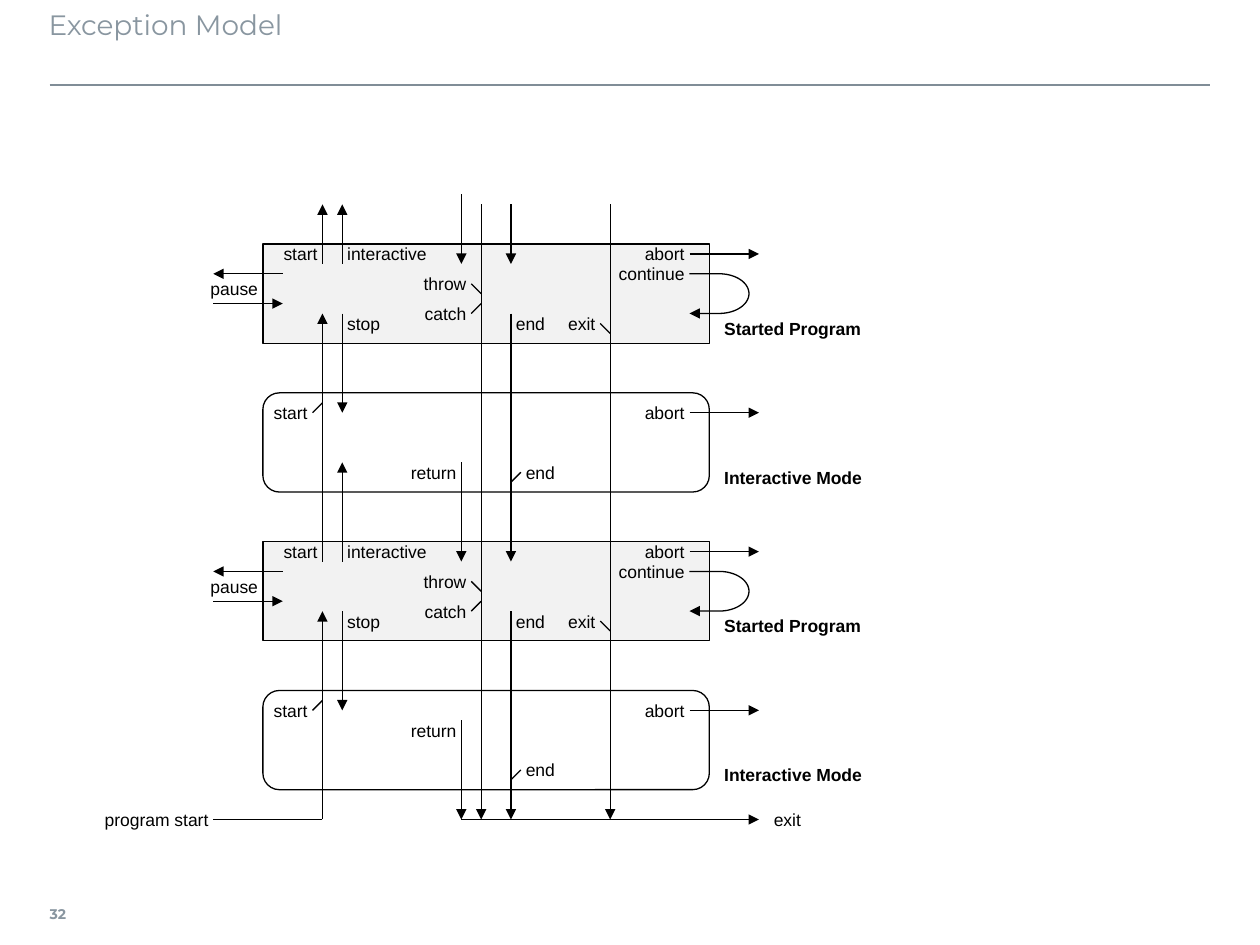
import math

from lxml import etree
from pptx import Presentation
from pptx.dml.color import RGBColor
from pptx.enum.shapes import MSO_CONNECTOR, MSO_SHAPE
from pptx.enum.text import MSO_ANCHOR, PP_ALIGN
from pptx.oxml.ns import qn
from pptx.util import Emu, Inches, Pt

EMU_PER_PX = 7200  # 0.2 mm, so the drawing grid of 2 mm is 10 px
STRAIGHT = MSO_CONNECTOR.STRAIGHT
RECTANGLE, ROUNDED = MSO_SHAPE.RECTANGLE, MSO_SHAPE.ROUNDED_RECTANGLE
LEFT, RIGHT = PP_ALIGN.LEFT, PP_ALIGN.RIGHT
TOP, MIDDLE = MSO_ANCHOR.TOP, MSO_ANCHOR.MIDDLE

BLACK, GRAY, HEADING, RULE = "000000", "F2F2F2", "8996A0", "808D97"
LABEL_WIDTH, LABEL_HEIGHT = 95, 20
FRAME_LEFT, FRAME_WIDTH, FRAME_HEIGHT = 265, 450, 100
START_X, STOP_X, RETURN_X, THROW_X, END_X, EXIT_X = 325, 345, 465, 485, 515, 615
OUTSIDE_LEFT, INSIDE_LEFT, INSIDE_RIGHT, OUTSIDE_RIGHT = 215, 285, 695, 765
ABOVE_Y, BASE_Y = 206, 826
FIRST_TOP, LAYER_STEP = 246, 150


def px(value):
    return Emu(round(value * EMU_PER_PX))


def color(hex_value):
    return RGBColor.from_string(hex_value)


class Diagram:
    """Draws on one slide in a single line and text style."""

    label_font = {"name": "Arial", "size": Pt(10), "bold": False}

    def __init__(self, slide):
        self.slide = slide

    def outline(self, shape, line_color=BLACK, width=0.75, arrow=False):
        shape.line.color.rgb = color(line_color)
        shape.line.width = Pt(width)
        if arrow:
            etree.SubElement(shape.line._get_or_add_ln(), qn("a:tailEnd"), type="triangle")

    def frame(self, kind, top, fill=None):
        shape = self.slide.shapes.add_shape(
            kind, px(FRAME_LEFT), px(top), px(FRAME_WIDTH), px(FRAME_HEIGHT))
        shape.shadow.inherit = False
        if fill:
            shape.fill.solid()
            shape.fill.fore_color.rgb = color(fill)
        else:
            shape.fill.background()
        self.outline(shape)

    def line(self, x1, y1, x2, y2, **style):
        connector = self.slide.shapes.add_connector(STRAIGHT, px(x1), px(y1), px(x2), px(y2))
        self.outline(connector, **style)
        etree.SubElement(connector._element.spPr, qn("a:effectLst"))

    def arrow(self, x1, y1, x2, y2):
        self.line(x1, y1, x2, y2, arrow=True)

    def loop_arrow(self, top):
        """Leave to the right, turn through a half ellipse and come back."""
        center_x, radius_x, radius_y = 725, 30, 20
        angles = [math.radians(degree) for degree in range(-90, 91, 5)]
        points = [(center_x + radius_x * math.cos(angle),
                   top + radius_y + radius_y * math.sin(angle)) for angle in angles]
        points.append((INSIDE_RIGHT, top + 2 * radius_y))
        builder = self.slide.shapes.build_freeform(px(INSIDE_RIGHT), px(top))
        builder.add_line_segments([(px(x), px(y)) for x, y in points], close=False)
        shape = builder.convert_to_shape()
        shape.shadow.inherit = False
        shape.fill.background()
        self.outline(shape, arrow=True)

    def text(self, text, left, top, width=LABEL_WIDTH, height=LABEL_HEIGHT, align=LEFT,
             margins=(5, 5, 5, 5), anchor=MIDDLE, wrap=False, font_color=BLACK, **font):
        box = self.slide.shapes.add_textbox(px(left), px(top), px(width), px(height))
        frame = box.text_frame
        sides = ("margin_left", "margin_top", "margin_right", "margin_bottom")
        layout = dict(zip(sides, map(px, margins)), word_wrap=wrap, vertical_anchor=anchor)
        for name, value in layout.items():
            setattr(frame, name, value)
        paragraph = frame.paragraphs[0]
        paragraph.alignment = align
        run = paragraph.add_run()
        run.text = text
        for name, value in {**self.label_font, **font}.items():
            setattr(run.font, name, value)
        run.font.color.rgb = color(font_color)

    def label_before(self, text, right, top, width=LABEL_WIDTH, height=LABEL_HEIGHT):
        """Place a label so that it ends at the given right edge."""
        self.text(text, right - width, top, width, height, align=RIGHT)

    def abort(self, top):
        self.label_before("abort", INSIDE_RIGHT, top)
        self.arrow(INSIDE_RIGHT, top + 10, OUTSIDE_RIGHT, top + 10)

    def layer_name(self, text, top):
        self.text(text, 725, top + 70, 160, 30, bold=True)

    def started_program(self, top):
        self.frame(RECTANGLE, top, GRAY)
        self.layer_name("Started Program", top)
        self.abort(top)
        self.label_before("continue", INSIDE_RIGHT, top + 20)
        self.loop_arrow(top + 30)
        self.label_before("start", START_X, top)
        self.text("interactive", STOP_X, top)
        self.label_before("pause", FRAME_LEFT, top + 30, height=30)
        self.arrow(INSIDE_LEFT, top + 30, OUTSIDE_LEFT, top + 30)
        self.arrow(OUTSIDE_LEFT, top + 60, INSIDE_LEFT, top + 60)
        self.text("stop", STOP_X, top + 70)
        self.arrow(STOP_X, top + 70, STOP_X, top + 170)
        self.text("end", END_X, top + 70)
        for text, x, label_top, tick_start, tick_end in (
                ("throw", THROW_X, 30, 40, 50),
                ("catch", THROW_X, 60, 70, 60),
                ("exit", EXIT_X, 70, 80, 90)):
            self.label_before(text, x - 10, top + label_top)
            self.line(x - 10, top + tick_start, x, top + tick_end)

    def interactive_mode(self, top, return_offset):
        self.frame(ROUNDED, top)
        self.layer_name("Interactive Mode", top)
        self.abort(top + 10)
        self.label_before("start", START_X - 10, top + 10)
        self.line(START_X - 10, top + 20, START_X, top + 10)
        self.label_before("return", RETURN_X, top + return_offset)
        self.text("end", END_X + 10, top + 70)
        self.line(END_X, top + 90, END_X + 10, top + 80)

    def control_flow(self):
        """Draw the arrows that run from layer to layer."""
        for x, spans in (
                (START_X, ((BASE_Y, 616), (566, 316), (266, ABOVE_Y))),
                (STOP_X, ((566, 466), (266, ABOVE_Y))),
                (RETURN_X, ((196, 266), (466, 566), (726, BASE_Y))),
                (THROW_X, ((ABOVE_Y, BASE_Y),)),
                (END_X, ((ABOVE_Y, 266), (316, 566), (616, BASE_Y))),
                (EXIT_X, ((ABOVE_Y, BASE_Y),))):
            for start, end in spans:
                self.arrow(x, start, x, end)
        self.label_before("program start", OUTSIDE_LEFT, BASE_Y - 10, width=130)
        self.line(OUTSIDE_LEFT, BASE_Y, START_X, BASE_Y)
        self.arrow(RETURN_X, BASE_Y, OUTSIDE_RIGHT, BASE_Y)
        self.text("exit", 775, BASE_Y - 10)

    def page(self, title, number):
        self.line(50, 86, 1220, 86, line_color=RULE, width=1)
        self.text(title, 49, 2, 1170, 80, margins=(0, 6, 13, 6), anchor=TOP, wrap=True,
                  font_color=HEADING, name="Montserrat", size=Pt(16))
        self.text(number, 50, 896, 45, 50, margins=(0, 6, 10, 6),
                  font_color=HEADING, name="Montserrat", size=Pt(8), bold=True)


def main():
    presentation = Presentation()
    presentation.slide_width, presentation.slide_height = Inches(10), Inches(7.5)
    diagram = Diagram(presentation.slides.add_slide(presentation.slide_layouts[6]))
    diagram.page("Exception Model", "32")
    for pair, return_offset in enumerate((70, 30)):
        top = FIRST_TOP + 2 * pair * LAYER_STEP
        diagram.started_program(top)
        diagram.interactive_mode(top + LAYER_STEP, return_offset)
    diagram.control_flow()
    presentation.save("out.pptx")


if __name__ == "__main__":
    main()
